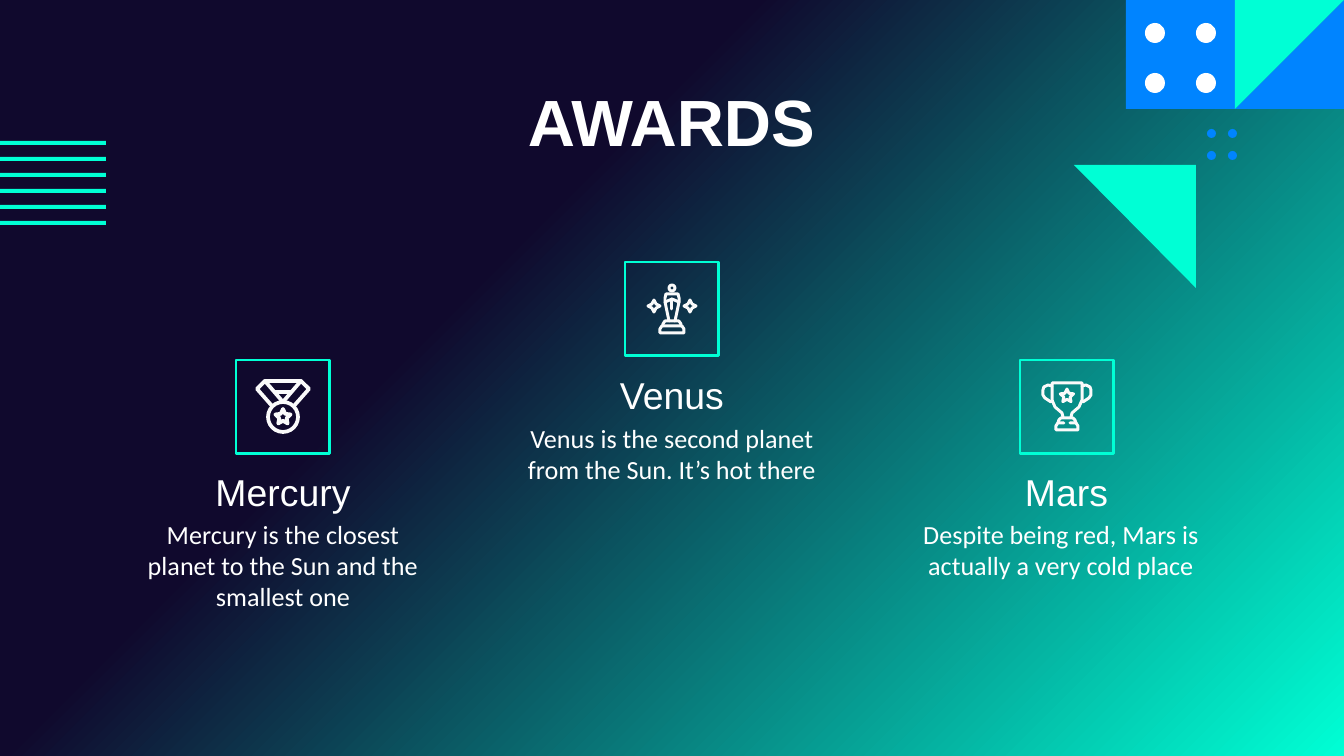
"""Build the awards slide: three planets, each with a framed icon."""
from copy import deepcopy
from itertools import product
from math import cos, pi, sin

from pptx import Presentation
from pptx.dml.color import RGBColor
from pptx.enum.shapes import MSO_SHAPE as Shape
from pptx.enum.text import MSO_ANCHOR as Anchor, PP_ALIGN as Align
from pptx.oxml.ns import qn
from pptx.util import Emu, Pt

THEME = {
    "night": "10092D", "mint": "00FFD5", "blue": "0084FF",
    "white": "FFFFFF", "icon": "FAFAFA",
    "title": {"name": "Arial", "size": Pt(35), "bold": True},
    "name": {"name": "Arial", "size": Pt(20), "bold": False},
    "body": {"name": "Calibri", "size": Pt(14), "bold": False},
}
PX = 914400 / 134.4
WIDTH, HEIGHT, FRAME, INSET = 1344, 756, 94, 13
GRADIENT = [(0, "night"), (0.36, "night"), (1, "mint")]

TITLE = ("AWARDS", (105, 78, 1133, 85))
BARS = {"count": 6, "left": -238, "top": 141, "step": 16, "size": (344, 4)}
CORNER = (1126, 0, 109, 109)
TRIANGLES = [
    ("blue", [(1344, 109), (1344, 0), (1235, 109)]),
    ("mint", [(1235, 0), (1235, 109), (1344, 0)]),
    ("mint", [(1074, 165), (1196, 288), (1196, 165)]),
]
DOT_GRIDS = [
    ("white", 20, (1145, 1196), (23, 73)),
    ("blue", 9, (1207, 1228), (129, 151)),
]

MEDAL = {
    "weight": 2,
    "rings": [(0, 10, 15)],
    "stars": [(0, 10, 8, 5)],
    "halves": [
        [(-11, -1), (-26, -18), (-18, -26)],
        [(-18, -26), (0, -5)],
        [(-8, -15)],
    ],
    "sides": [],
}
STATUE = {
    "weight": 1.6,
    "rings": [(0, -21, 3)],
    "stars": [(-18, -3, 6, 4), (18, -3, 6, 4)],
    "halves": [
        [(-3, 12), (-7, -7), (-7, -11), (-6, -15)],
        [(-7, -7), (0, -10)],
        [(0, -10), (0, 0)],
        [(-9, 17), (-9, 15), (-7, 12)],
        [(0, 17), (-10, 17), (-12, 20), (-12, 24)],
    ],
    "sides": [],
}
CUP = {
    "weight": 1.6,
    "rings": [],
    "stars": [(0, -11, 7, 5)],
    "halves": [
        [(-4, 10), (-5, 6), (-12, 0), (-15, -7), (-15, -24)],
        [(-9, 16), (-8, 13), (-6, 11)],
        [(-3, 16), (-9, 16), (-11, 19), (-11, 23)],
    ],
    "sides": [
        [(-15, -21), (-19, -22), (-23, -20), (-24, -17), (-24, -12), (-22, -9), (-16, -5)],
    ],
}
CARDS = [
    {"name": "Mercury", "body": "Mercury is the closest planet to the Sun and the smallest one",
     "frame": (236, 360), "name_area": (121, 453, 324, 78),
     "body_area": (121, 505, 324, 125), "icon": MEDAL},
    {"name": "Venus", "body": "Venus is the second planet from the Sun. It’s hot there",
     "frame": (625, 262), "name_area": (510, 356, 324, 78),
     "body_area": (510, 409, 324, 125), "icon": STATUE},
    {"name": "Mars", "body": "Despite being red, Mars is actually a very cold place",
     "frame": (1020, 360), "name_area": (913, 453, 307, 78),
     "body_area": (899, 505, 324, 125), "icon": CUP},
]


def emu(*lengths):
    return [Emu(round(length * PX)) for length in lengths]


def color(key):
    return RGBColor.from_string(THEME[key])


def paint(shape, key):
    shape.shadow.inherit = False
    shape.fill.solid()
    shape.fill.fore_color.rgb = color(key)
    shape.line.fill.background()


def stroke(shape, key, weight):
    shape.shadow.inherit = False
    shape.fill.background()
    shape.line.color.rgb = color(key)
    shape.line.width = Pt(weight)
    outline = shape.element.spPr.find(qn("a:ln"))
    outline.set("cap", "rnd")
    outline.append(outline.makeelement(qn("a:round")))


def preset(shapes, kind, area):
    return shapes.add_shape(kind, *emu(*area))


def outline(shapes, points, close):
    start, *rest = [emu(*point) for point in points]
    builder = shapes.build_freeform(*start, scale=1.0)
    builder.add_line_segments(rest, close=close)
    return builder.convert_to_shape()


def write(page, text, area, style, anchor):
    frame = page.shapes.add_textbox(*emu(*area)).text_frame
    margin = emu(INSET)[0]
    settings = {"word_wrap": True, "vertical_anchor": anchor, "margin_left": margin,
                "margin_right": margin, "margin_top": margin, "margin_bottom": margin}
    for key, value in settings.items():
        setattr(frame, key, value)
    para = frame.paragraphs[0]
    para.alignment = Align.CENTER
    span = para.add_run()
    span.text = text
    for key, value in THEME[style].items():
        setattr(span.font, key, value)
    span.font.color.rgb = color("white")


def flip(points):
    return [(-x, y) for x, y in reversed(points)]


def star(x, y, radius, tips):
    corners = []
    for index in range(2 * tips):
        reach = radius * (0.48 if index % 2 else 1)
        angle = index * pi / tips - pi / 2
        corners.append((x + reach * cos(angle), y + reach * sin(angle)))
    return corners


def draw_icon(page, icon, middle_x, middle_y):
    shapes = page.shapes.add_group_shape().shapes
    parts = [
        preset(shapes, Shape.OVAL, (middle_x + x - r, middle_y + y - r, 2 * r, 2 * r))
        for x, y, r in icon["rings"]
    ]
    strokes = [(star(*values), True) for values in icon["stars"]]
    strokes += [(half + flip(half), False) for half in icon["halves"]]
    strokes += [(points, False) for side in icon["sides"] for points in (side, flip(side))]
    for points, close in strokes:
        placed = [(middle_x + x, middle_y + y) for x, y in points]
        parts.append(outline(shapes, placed, close))
    for part in parts:
        stroke(part, "icon", icon["weight"])


def draw_background(page):
    fill = page.background.fill
    fill.gradient()
    fill.gradient_angle = 315
    first = next(page.element.iter(qn("a:gs")))
    first.addnext(deepcopy(first))
    for stop, (position, key) in zip(fill.gradient_stops, GRADIENT):
        stop.position = position
        stop.color.rgb = color(key)


def draw_decoration(page):
    paint(preset(page.shapes, Shape.RECTANGLE, CORNER), "blue")
    for key, points in TRIANGLES:
        paint(outline(page.shapes, points, True), key)
    for key, size, columns, rows in DOT_GRIDS:
        for left, top in product(columns, rows):
            paint(preset(page.shapes, Shape.OVAL, (left, top, size, size)), key)
    for index in range(BARS["count"]):
        area = (BARS["left"], BARS["top"] + index * BARS["step"], *BARS["size"])
        paint(preset(page.shapes, Shape.RECTANGLE, area), "mint")


def draw_card(page, card):
    left, top = card["frame"]
    write(page, card["name"], card["name_area"], "name", Anchor.MIDDLE)
    write(page, card["body"], card["body_area"], "body", Anchor.TOP)
    stroke(preset(page.shapes, Shape.RECTANGLE, (left, top, FRAME, FRAME)), "mint", 1.5)
    draw_icon(page, card["icon"], left + FRAME / 2, top + FRAME / 2)


def main():
    deck = Presentation()
    deck.slide_width, deck.slide_height = emu(WIDTH, HEIGHT)
    page = deck.slides.add_slide(deck.slide_layouts[6])
    draw_background(page)
    draw_decoration(page)
    write(page, *TITLE, "title", Anchor.MIDDLE)
    for card in CARDS:
        draw_card(page, card)
    deck.save("out.pptx")


if __name__ == "__main__":
    main()
